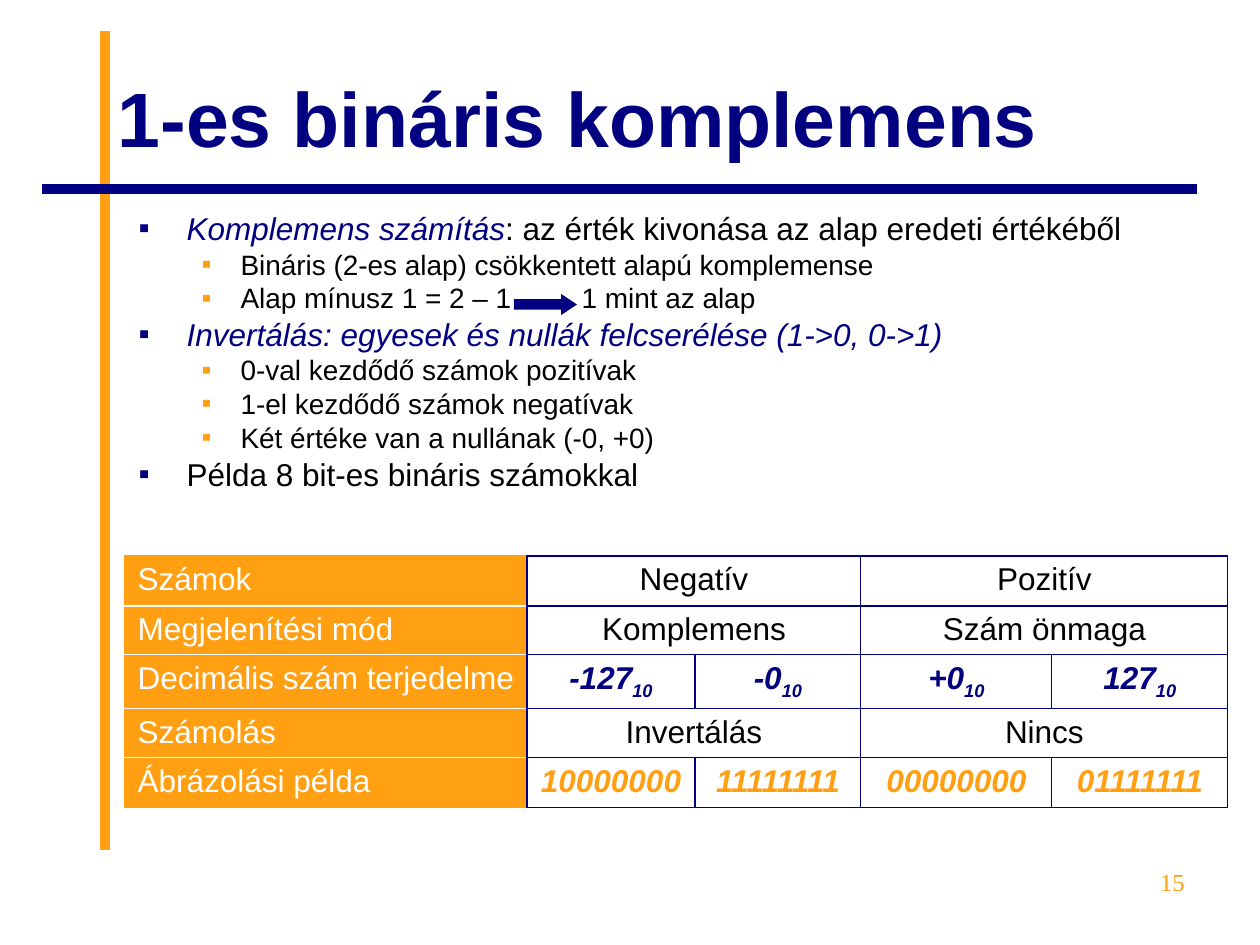
from dataclasses import dataclass

from lxml.etree import SubElement
from pptx import Presentation
from pptx.dml.color import RGBColor
from pptx.enum.shapes import MSO_CONNECTOR as Link, MSO_SHAPE as Preset
from pptx.enum.text import MSO_ANCHOR as Anchor, MSO_AUTO_SIZE as Fit, PP_ALIGN as Align
from pptx.oxml.ns import qn
from pptx.util import Emu, Pt


@dataclass(frozen=True)
class Theme:
    navy: str = "000080"
    orange: str = "FF9F11"
    black: str = "000000"
    white: str = "FFFFFF"
    font: str = "Arial"
    number_font: str = "Times New Roman"
    title: int = 44
    topic: int = 18
    detail: int = 16
    number: int = 14
    rule: float = 5.5
    border: float = 0.75


THEME = Theme()
EMU_PER_PX = 914400 / 126

TOPICS = [
    (0, [("Komplemens számítás", True), (": az érték kivonása az alap eredeti értékéből", False)]),
    (1, [("Bináris (2-es alap) csökkentett alapú komplemense", False)]),
    (1, [("Alap mínusz 1 = 2 – 1", False), (" ", False), ("1 mint az alap", False)]),
    (0, [("Invertálás: egyesek és nullák felcserélése (1->0, 0->1)", True)]),
    (1, [("0-val kezdődő számok pozitívak", False)]),
    (1, [("1-el kezdődő számok negatívak", False)]),
    (1, [("Két értéke van a nullának (-0, +0)", False)]),
    (0, [("Példa 8 bit-es bináris számokkal", False)]),
]
ARROW_GAP = 35.6

COLUMNS = [402, 168, 166, 191, 176]
ROWS = [
    (50, "Számok", ["Negatív", "Pozitív"]),
    (49, "Megjelenítési mód", ["Komplemens", "Szám önmaga"]),
    (54, "Decimális szám terjedelme", ["-127", "-0", "+0", "127"]),
    (49, "Számolás", ["Invertálás", "Nincs"]),
    (50, "Ábrázolási példa", ["10000000", "11111111", "00000000", "01111111"]),
]
RANGE_ROW = 2


def px(length):
    return Emu(round(length * EMU_PER_PX))


def box(*lengths):
    return [px(length) for length in lengths]


def rgb(color):
    return RGBColor.from_string(color)


def write(paragraph, text, size=THEME.topic, color=THEME.black, name=THEME.font,
          bold=False, italic=False, baseline=None, spacing=None):
    run = paragraph.add_run()
    run.text = text
    font = run.font
    font.size, font.name, font.bold, font.italic = Pt(size), name, bold, italic
    font.color.rgb = rgb(color)
    properties = run._r.get_or_add_rPr()
    if baseline is not None:
        properties.set("baseline", str(baseline * 1000))
    if spacing is not None:
        properties.set("spc", str(round(spacing * 100)))


def set_bullet(paragraph, color, margin, hanging):
    properties = paragraph._p.get_or_add_pPr()
    properties.set("marL", str(px(margin)))
    properties.set("indent", str(-px(hanging)))
    SubElement(SubElement(properties, qn("a:buClr")), qn("a:srgbClr"), val=color)
    SubElement(properties, qn("a:buFont"), typeface=THEME.font)
    SubElement(properties, qn("a:buChar"), char="▪")


def place(placeholder, left, top, width, height, anchor):
    placeholder.left, placeholder.top, placeholder.width, placeholder.height = box(
        left, top, width, height)
    frame = placeholder.text_frame
    frame.auto_size, frame.vertical_anchor, frame.word_wrap = Fit.NONE, anchor, True
    return frame


def add_rule(slide, start, end, color):
    rule = slide.shapes.add_connector(Link.STRAIGHT, *box(*start, *end))
    rule.line.color.rgb = rgb(color)
    rule.line.width = Pt(THEME.rule)
    SubElement(rule._element.spPr, qn("a:effectLst"))


def add_title(slide, text):
    paragraph = place(slide.shapes.title, 105, 38, 1092, 157, Anchor.MIDDLE).paragraphs[0]
    paragraph.alignment = Align.LEFT
    write(paragraph, text, size=THEME.title, color=THEME.navy, bold=True)


def add_topics(slide):
    frame = place(slide.placeholders[1], 126, 210, 1071, 325, Anchor.TOP)
    styles = [(THEME.topic, THEME.navy, 48, 48, 4.5), (THEME.detail, THEME.orange, 102, 39, 4)]
    for index, (level, parts) in enumerate(TOPICS):
        size, bullet_color, margin, hanging, before = styles[level]
        paragraph = frame.add_paragraph() if index else frame.paragraphs[0]
        paragraph.level = level
        set_bullet(paragraph, bullet_color, margin, hanging)
        paragraph.line_spacing = 0.8
        paragraph.space_before = Pt(before if index else 0)
        for text, key_term in parts:
            write(paragraph, text, size=size, italic=key_term,
                  color=THEME.navy if key_term else THEME.black,
                  spacing=ARROW_GAP if text == " " else None)


def style_cell(cell, fill, borders):
    properties = cell._tc.get_or_add_tcPr()
    for side, color in zip("LRTB", borders):
        line = SubElement(properties, qn(f"a:ln{side}"), w=str(Pt(THEME.border)))
        SubElement(SubElement(line, qn("a:solidFill")), qn("a:srgbClr"), val=color)
    if fill:
        cell.fill.solid()
        cell.fill.fore_color.rgb = rgb(fill)
    else:
        cell.fill.background()


def fill_row(table, row, label, values):
    last = len(ROWS) - 1
    label_borders = (THEME.orange, THEME.navy,
                     THEME.white if row else THEME.orange,
                     THEME.white if row < last else THEME.orange)
    for column in range(len(COLUMNS)):
        style_cell(table.cell(row, column), None if column else THEME.orange,
                   (THEME.navy,) * 4 if column else label_borders)
    write(table.cell(row, 0).text_frame.paragraphs[0], label, color=THEME.white)

    span = (len(COLUMNS) - 1) // len(values)
    emphasis = span == 1
    color = THEME.black
    if emphasis:
        color = THEME.navy if row == RANGE_ROW else THEME.orange
    for index, value in enumerate(values):
        column = 1 + index * span
        cell = table.cell(row, column)
        if span > 1:
            cell.merge(table.cell(row, column + span - 1))
        paragraph = cell.text_frame.paragraphs[0]
        paragraph.alignment = Align.CENTER
        look = dict(color=color, bold=emphasis, italic=emphasis)
        write(paragraph, value, **look)
        if row == RANGE_ROW:
            write(paragraph, "10", baseline=-25, **look)


def add_number_table(slide):
    heights = [height for height, _, _ in ROWS]
    table = slide.shapes.add_table(len(ROWS), len(COLUMNS),
                                   *box(125, 556, sum(COLUMNS), sum(heights))).table
    table.first_row = table.horz_banding = False
    for column, width in zip(table.columns, COLUMNS):
        column.width = px(width)
    for index, (height, label, values) in enumerate(ROWS):
        table.rows[index].height = px(height)
        fill_row(table, index, label, values)


def add_arrow(slide):
    arrow = slide.shapes.add_shape(Preset.RIGHT_ARROW, *box(514, 294, 63, 21))
    arrow.adjustments[0], arrow.adjustments[1] = 0.5, 0.75
    arrow.shadow.inherit = False
    arrow.fill.solid()
    arrow.fill.fore_color.rgb = rgb(THEME.navy)
    arrow.line.fill.background()


def add_page_number(slide, number):
    frame = slide.shapes.add_textbox(*box(903, 861, 294, 65)).text_frame
    frame.word_wrap = True
    frame.paragraphs[0].alignment = Align.RIGHT
    write(frame.paragraphs[0], number, size=THEME.number, color=THEME.orange,
          name=THEME.number_font)


def main():
    deck = Presentation()
    deck.slide_width, deck.slide_height = box(1260, 945)
    slide = deck.slides.add_slide(deck.slide_layouts[1])
    add_rule(slide, (105, 850), (105, 31), THEME.orange)
    add_rule(slide, (1197, 189), (42, 189), THEME.navy)
    add_title(slide, "1-es bináris komplemens")
    add_topics(slide)
    add_number_table(slide)
    add_arrow(slide)
    add_page_number(slide, "15")
    deck.save("out.pptx")


if __name__ == "__main__":
    main()
